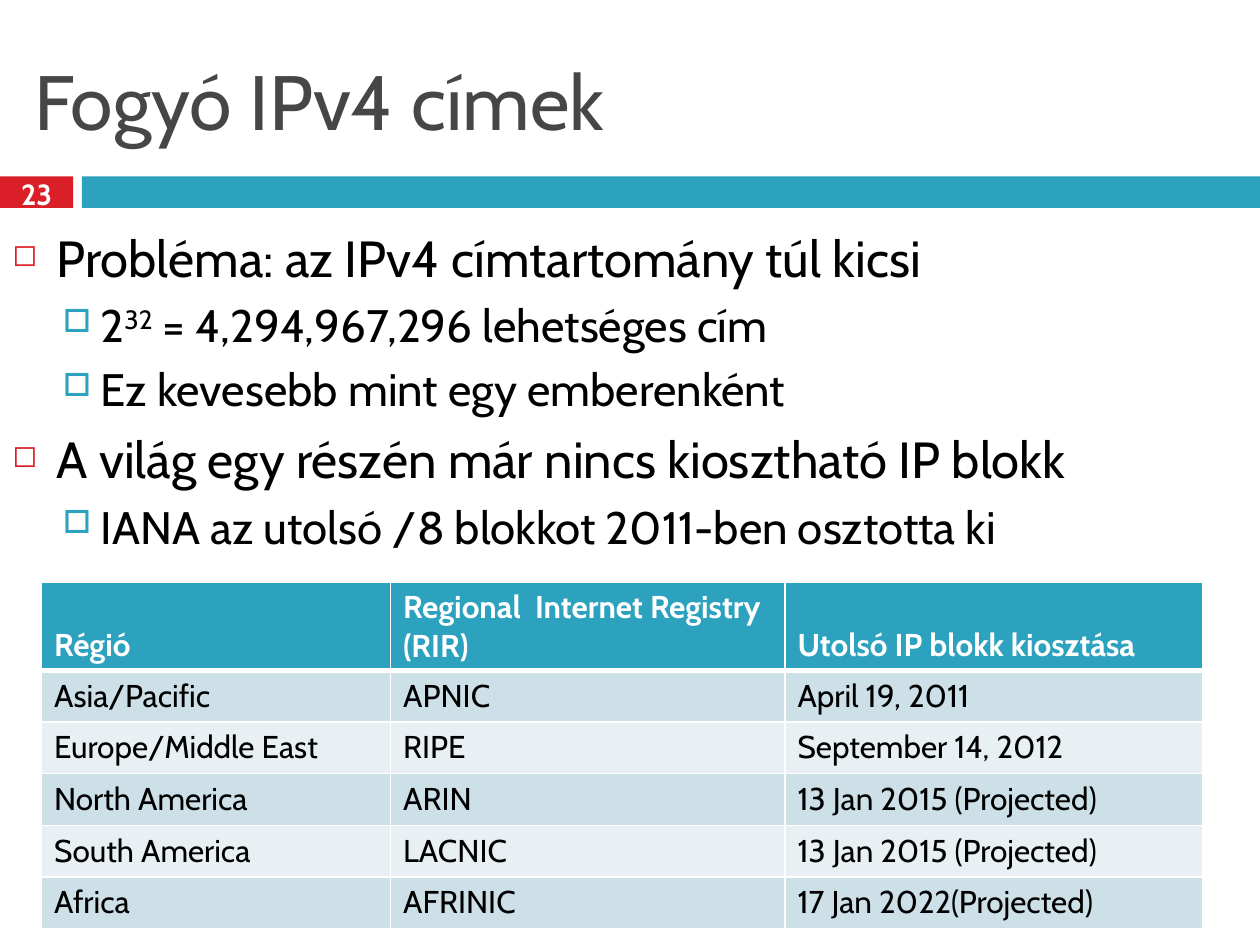
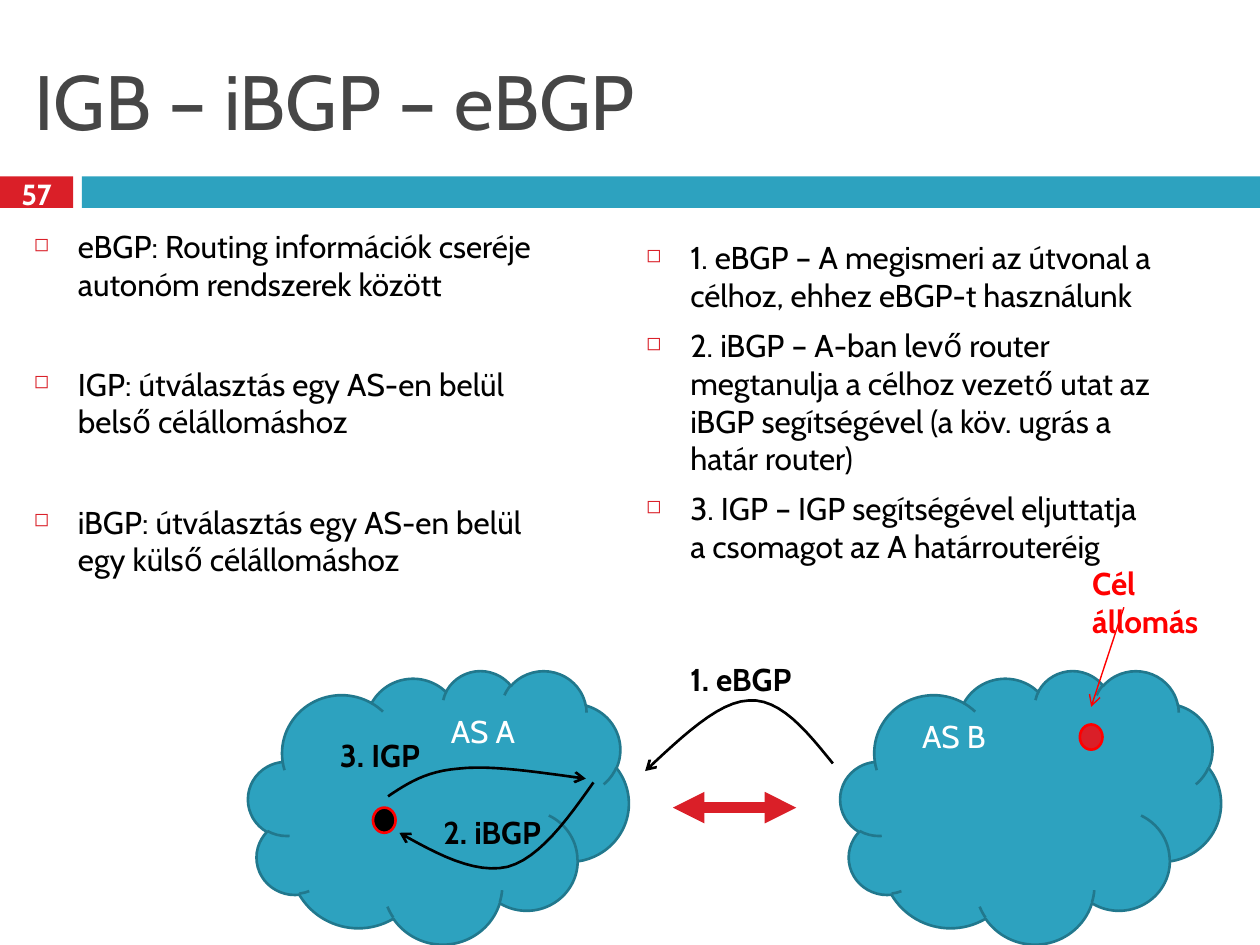
import lxml.etree
import pptx
import pptx.chart.data
import pptx.dml.color
import pptx.enum.shapes
import pptx.enum.text
import pptx.oxml.ns
import pptx.util

Inches = pptx.util.Inches
Pt = pptx.util.Pt
Shapes = pptx.enum.shapes.MSO_SHAPE
Align = pptx.enum.text.PP_ALIGN
Anchor = pptx.enum.text.MSO_ANCHOR

COLOURS = {
    "teal": "2DA2BF",
    "teal_dark": "21788D",
    "crimson": "DA1F28",
    "red": "FF0000",
    "title": "464646",
    "black": "000000",
    "white": "FFFFFF",
    "row_dark": "CDE0E8",
    "row_light": "E8F0F4",
}
BULLETS = [
    {"char": "◻", "colour": "crimson", "size": 60, "left": 0.35, "hang": 0.35, "before": 7},
    {"char": "□", "colour": "teal", "size": 70, "left": 0.7, "hang": 0.3, "before": 5.5},
]


def rgb(name):
    return pptx.dml.color.RGBColor.from_string(COLOURS[name])


def add_xml(parent, tag, **attributes):
    child = lxml.etree.SubElement(parent, pptx.oxml.ns.qn(tag))
    for key, value in attributes.items():
        child.set(key, str(value))
    return child


def bezier(start, control_1, control_2, end, steps=12):
    for step in range(1, steps + 1):
        t = step / steps
        weights = ((1 - t) ** 3, 3 * t * (1 - t) ** 2, 3 * t ** 2 * (1 - t), t ** 3)
        points = (start, control_1, control_2, end)
        yield tuple(Inches(sum(w * p[axis] for w, p in zip(weights, points)))
                    for axis in (0, 1))


class Deck:
    font = "Cabin"

    def __init__(self):
        self.presentation = pptx.Presentation()
        self.presentation.slide_width = Inches(10)
        self.presentation.slide_height = Inches(7.5)
        self.slide = None

    def new_slide(self, title, number):
        self.slide = self.presentation.slides.add_slide(self.presentation.slide_layouts[5])
        self.shape(Shapes.RECTANGLE, 0, 1.4, 0.58, 0.25, "crimson")
        self.shape(Shapes.RECTANGLE, 0.65, 1.4, 9.35, 0.25, "teal")
        placeholder = self.slide.shapes.title
        placeholder.left, placeholder.top = Inches(0.17), Inches(0.25)
        placeholder.width, placeholder.height = Inches(9.67), Inches(1.08)
        frame = placeholder.text_frame
        frame.auto_size = pptx.enum.text.MSO_AUTO_SIZE.NONE
        frame.vertical_anchor = Anchor.MIDDLE
        frame.paragraphs[0].alignment = Align.LEFT
        self.run(frame.paragraphs[0], title, 44, "title")
        frame = self.text_frame(0, 1.37, 0.58, 0.33)
        frame.vertical_anchor = Anchor.MIDDLE
        frame.paragraphs[0].alignment = Align.CENTER
        self.run(frame.paragraphs[0], number, 16.6, "white", bold=True)

    def run(self, paragraph, text, size, colour, bold=False, raised=False):
        run = paragraph.add_run()
        run.text = text
        run.font.name = self.font
        run.font.size = Pt(size)
        run.font.bold = bold
        run.font.color.rgb = rgb(colour)
        if raised:
            run.font._element.set("baseline", "30000")

    def text_frame(self, left, top, width, height):
        box = self.slide.shapes.add_textbox(
            Inches(left), Inches(top), Inches(width), Inches(height))
        box.text_frame.word_wrap = True
        return box.text_frame

    def label(self, text, left, top, width, colour="black", bold=True):
        frame = self.text_frame(left, top, width, 0.4)
        self.run(frame.paragraphs[0], text, 18, colour, bold)

    def bullets(self, left, top, width, height, items, sizes, before=None):
        frame = self.text_frame(left, top, width, height)
        for index, (level, *pieces) in enumerate(items):
            paragraph = frame.paragraphs[0] if index == 0 else frame.add_paragraph()
            style = BULLETS[level]
            paragraph.level = level
            paragraph.space_before = Pt(before if before and index else style["before"])
            properties = paragraph._p.get_or_add_pPr()
            properties.set("marL", str(Inches(style["left"])))
            properties.set("indent", str(-Inches(style["hang"])))
            colour = add_xml(properties, "a:buClr")
            add_xml(colour, "a:srgbClr", val=COLOURS[style["colour"]])
            add_xml(properties, "a:buSzPct", val=style["size"] * 1000)
            add_xml(properties, "a:buChar", char=style["char"])
            for position, piece in enumerate(pieces):
                self.run(paragraph, piece, sizes[level], "black", raised=position == 1)

    def shape(self, kind, left, top, width, height, fill, line=None):
        shape = self.slide.shapes.add_shape(
            kind, Inches(left), Inches(top), Inches(width), Inches(height))
        shape.shadow.inherit = False
        shape.fill.solid()
        shape.fill.fore_color.rgb = rgb(fill)
        if line:
            self.outline(shape, line, 1.5)
        else:
            shape.line.fill.background()

    def outline(self, shape, colour, width, head=None, tail=None):
        shape.line.color.rgb = rgb(colour)
        shape.line.width = Pt(width)
        for tag, kind in (("a:headEnd", head), ("a:tailEnd", tail)):
            if kind:
                add_xml(shape.line._get_or_add_ln(), tag, type=kind)

    def arrow(self, start, end, colour, width, head=None, tail=None):
        connector = self.slide.shapes.add_connector(
            pptx.enum.shapes.MSO_CONNECTOR.STRAIGHT,
            *(Inches(value) for value in (*start, *end)))
        self.outline(connector, colour, width, head, tail)
        add_xml(connector._element.spPr, "a:effectLst")

    def curved_arrow(self, *points):
        builder = self.slide.shapes.build_freeform(*(Inches(value) for value in points[0]))
        for first in range(0, len(points) - 1, 3):
            builder.add_line_segments(bezier(*points[first:first + 4]), close=False)
        curve = builder.convert_to_shape()
        curve.shadow.inherit = False
        curve.fill.background()
        self.outline(curve, "black", 1.5, tail="arrow")

    def cell_borders(self, cell, top, bottom):
        properties = cell._tc.get_or_add_tcPr()
        widths = {"a:lnL": 1, "a:lnR": 1, "a:lnT": top, "a:lnB": bottom}
        for index, (tag, width) in enumerate(widths.items()):
            border = add_xml(properties, tag, w=Pt(width))
            fill = add_xml(border, "a:solidFill")
            add_xml(fill, "a:srgbClr", val=COLOURS["white"])
            properties.insert(index, border)

    def table(self, left, top, column_widths, row_heights, rows):
        table = self.slide.shapes.add_table(
            len(rows), len(column_widths), Inches(left), Inches(top),
            Inches(sum(column_widths)), Inches(sum(row_heights))).table
        table.horz_banding = False
        for column, width in zip(table.columns, column_widths):
            column.width = Inches(width)
        for row_index, values in enumerate(rows):
            table.rows[row_index].height = Inches(row_heights[row_index])
            header = row_index == 0
            fill = "teal" if header else ("row_light", "row_dark")[row_index % 2]
            for column_index, value in enumerate(values):
                cell = table.cell(row_index, column_index)
                cell.fill.solid()
                cell.fill.fore_color.rgb = rgb(fill)
                cell.vertical_anchor = Anchor.BOTTOM if header else Anchor.TOP
                self.run(cell.text_frame.paragraphs[0], value, 18,
                         "white" if header else "black", bold=header)
                self.cell_borders(cell, 3 if row_index == 1 else 1, 3 if header else 1)


def address_slide(deck):
    deck.new_slide("Fogyó IPv4 címek", "23")
    deck.bullets(0, 1.75, 10, 2.83, [
        (0, "Probléma: az IPv4 címtartomány túl kicsi"),
        (1, "2", "32", " = 4,294,967,296 lehetséges cím"),
        (1, "Ez kevesebb mint egy emberenként"),
        (0, "A világ egy részén már nincs kiosztható IP blokk"),
        (1, "IANA az utolsó /8 blokkot 2011-ben osztotta ki"),
    ], sizes=(29, 26))
    deck.table(0.33, 4.62, [2.77, 3.13, 3.32], [0.69] + [0.41] * 5, [
        ("Régió", "Regional  Internet Registry (RIR)", "Utolsó IP blokk kiosztása"),
        ("Asia/Pacific", "APNIC", "April 19, 2011"),
        ("Europe/Middle East", "RIPE", "September 14, 2012"),
        ("North America", "ARIN", "13 Jan 2015 (Projected)"),
        ("South America", "LACNIC", "13 Jan 2015 (Projected)"),
        ("Africa", "AFRINIC", "17 Jan 2022(Projected)"),
    ])


def routing_slide(deck):
    deck.new_slide("IGB – iBGP – eBGP", "57")
    deck.bullets(0.17, 1.75, 4.25, 5.58, [
        (0, "eBGP: Routing információk cseréje autonóm rendszerek között"),
        (0, "IGP: útválasztás egy AS-en belül belső célállomáshoz"),
        (0, "iBGP: útválasztás egy AS-en belül egy külső célállomáshoz"),
    ], sizes=(18,), before=35.6)
    for left in (1.97, 6.67):
        deck.shape(Shapes.CLOUD, left, 5.32, 3.02, 2.17, "teal", "teal_dark")
    deck.arrow((5.34, 6.41), (6.32, 6.41), "crimson", 6, "triangle", "triangle")
    deck.shape(Shapes.OVAL, 2.96, 6.41, 0.18, 0.2, "black", "red")
    deck.shape(Shapes.OVAL, 8.57, 5.75, 0.18, 0.2, "crimson", "red")
    deck.arrow((8.92, 4.82), (8.66, 5.61), "red", 0.79, tail="arrow")
    deck.label("Cél állomás", 8.57, 4.43, 1.43, "red")
    deck.curved_arrow((6.61, 6.06), (6.4, 5.8), (6.19, 5.54), (5.94, 5.56),
                      (5.7, 5.57), (5.41, 5.85), (5.12, 6.12))
    deck.label("1. eBGP", 5.38, 5.19, 1.17)
    deck.label("AS A", 3.48, 5.6, 0.94, "white", bold=False)
    deck.label("AS B", 7.22, 5.64, 0.94, "white", bold=False)
    deck.bullets(5.03, 1.84, 4.25, 5.58, [
        (0, "1. eBGP – A megismeri az útvonal a célhoz, ehhez eBGP-t használunk"),
        (0, "2. iBGP – A-ban levő router megtanulja a célhoz vezető utat az iBGP "
            "segítségével (a köv. ugrás a határ router)"),
        (0, "3. IGP – IGP segítségével eljuttatja a csomagot az A határrouteréig"),
    ], sizes=(18,))
    deck.curved_arrow((4.71, 6.21), (4.5, 6.51), (4.28, 6.81), (4.03, 6.88),
                      (3.77, 6.94), (3.47, 6.78), (3.17, 6.61))
    deck.label("2. iBGP", 3.42, 6.4, 1.23)
    deck.curved_arrow((3.08, 6.32), (3.23, 6.22), (3.38, 6.12), (3.64, 6.1),
                      (3.9, 6.07), (4.28, 6.13), (4.65, 6.18))
    deck.label("3. IGP", 2.6, 5.79, 1.27)


def main():
    deck = Deck()
    address_slide(deck)
    routing_slide(deck)
    deck.presentation.save("out.pptx")


if __name__ == "__main__":
    main()
